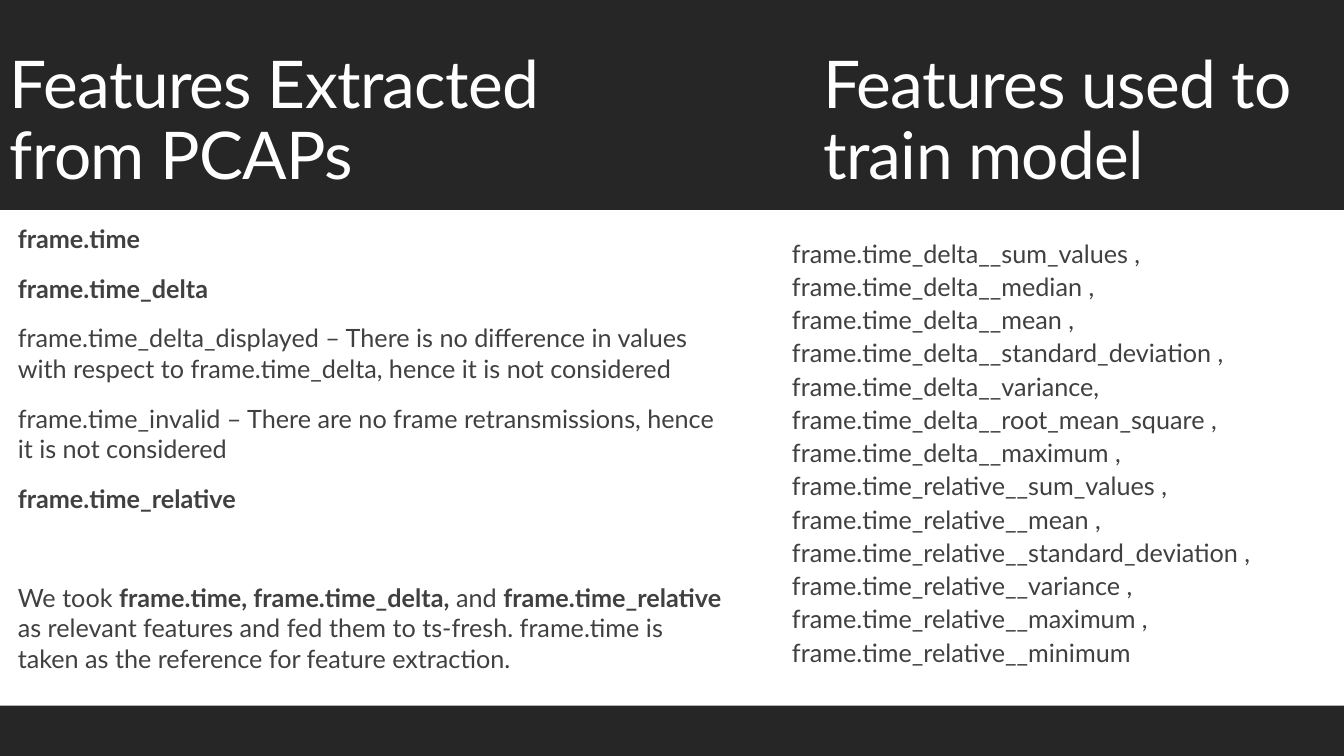
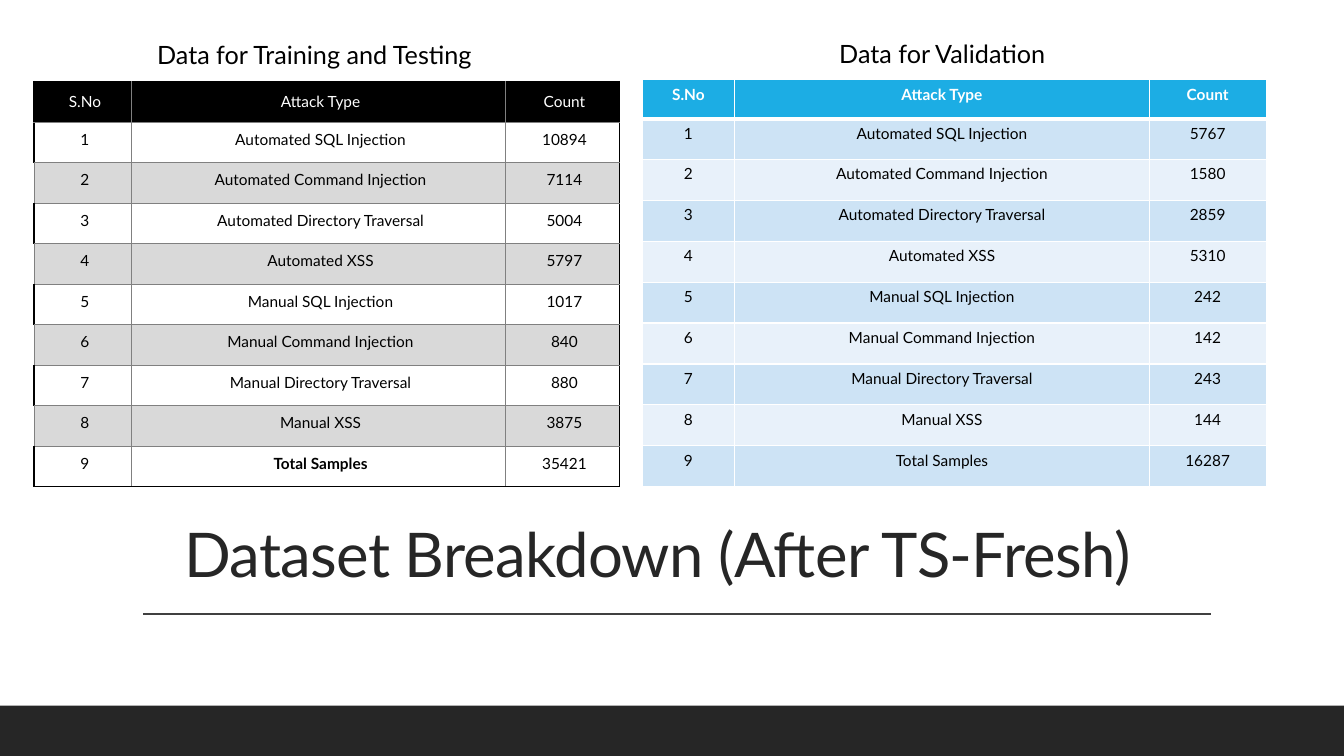
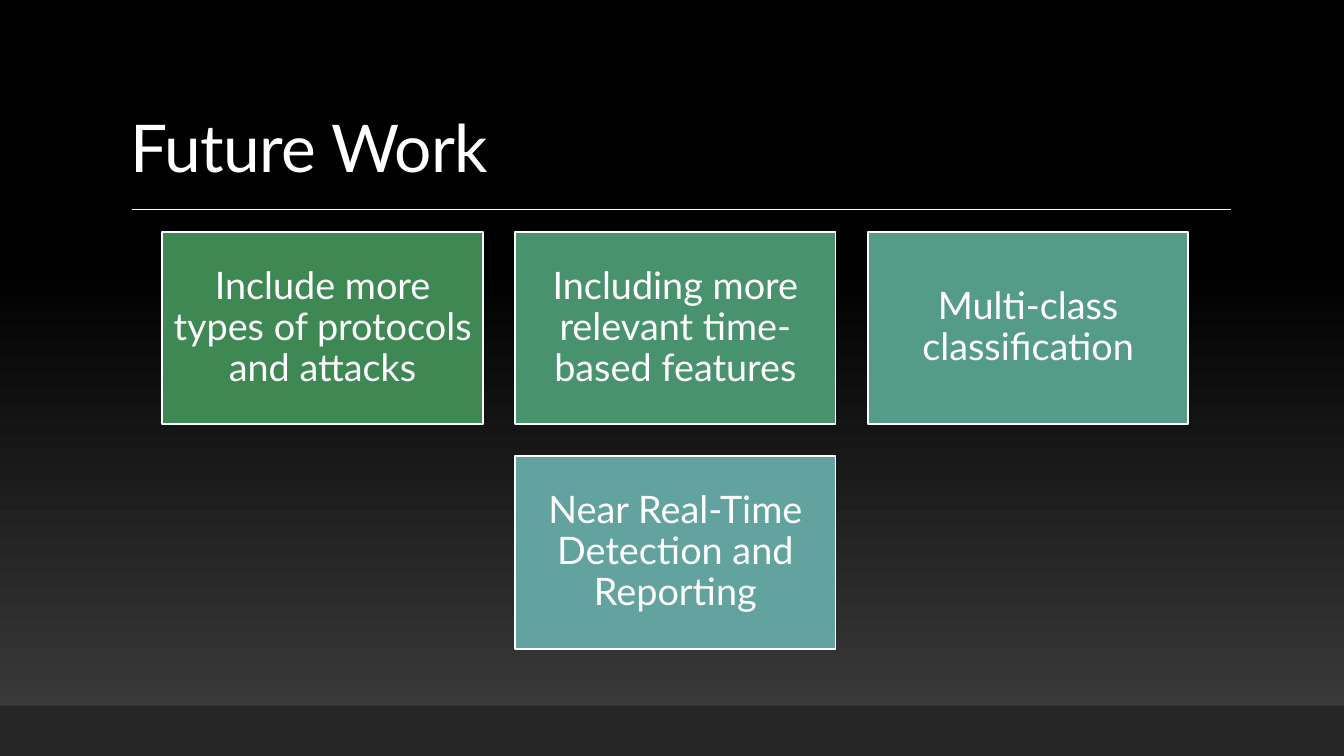
"""Build three slides on traffic features, dataset breakdown and future work."""
from lxml import etree
from pptx import Presentation
from pptx.dml.color import RGBColor
from pptx.enum import shapes, text
from pptx.oxml import ns
from pptx.util import Cm, Pt

FONT = "Lato"
WHITE = RGBColor(0xFF, 0xFF, 0xFF)
BLACK = RGBColor(0, 0, 0)
DARK = RGBColor(0x26, 0x26, 0x26)
INK = RGBColor(0x40, 0x40, 0x40)
SLATE = RGBColor(0x3F, 0x3F, 0x3F)
GREY = RGBColor(0x80, 0x80, 0x80)
PALE = RGBColor(0xD9, 0xD9, 0xD9)
BLUE = RGBColor(0x1C, 0xAD, 0xE4)
SKY = RGBColor(0xCD, 0xE3, 0xF5)
ICE = RGBColor(0xE8, 0xF1, 0xFA)
GREENS = [RGBColor(0x3E, 0x88, 0x53), RGBColor(0x49, 0x92, 0x6E),
          RGBColor(0x54, 0x9C, 0x88), RGBColor(0x62, 0xA3, 0x9F)]
LEFT, MID = text.PP_ALIGN.LEFT, text.PP_ALIGN.CENTER
TOP, CENTER, LOW = (text.MSO_ANCHOR.TOP, text.MSO_ANCHOR.MIDDLE,
                    text.MSO_ANCHOR.BOTTOM)
WIDE, HIGH = 33.87, 19.05
PAD = (0.25, 0.13, 0.25, 0.13)
FLUSH = (0, 0.13, 0, 0.13)

FIELDS = [
    "*frame.time*",
    "*frame.time_delta*",
    "frame.time_delta_displayed – There is no difference in values with "
    "respect to frame.time_delta, hence it is not considered",
    "frame.time_invalid – There are no frame retransmissions, hence it is "
    "not considered",
    "*frame.time_relative*",
    "We took *frame.time, frame.time_delta,* and *frame.time_relative* as "
    "relevant features and fed them to ts-fresh. frame.time is taken as the "
    "reference for feature extraction.",
]
USED = [
    "frame.time_delta__sum_values ,",
    "frame.time_delta__median ,",
    "frame.time_delta__mean ,",
    "frame.time_delta__standard_deviation ,",
    "frame.time_delta__variance,",
    "frame.time_delta__root_mean_square ,",
    "frame.time_delta__maximum ,",
    "frame.time_relative__sum_values ,",
    "frame.time_relative__mean ,",
    "frame.time_relative__standard_deviation ,",
    "frame.time_relative__variance ,",
    "frame.time_relative__maximum ,",
    "frame.time_relative__minimum",
]
HEAD = ("S.No", "Attack Type", "Count")
KINDS = [f"{mode} {kind}" for mode in ("Automated", "Manual")
         for kind in ("SQL Injection", "Command Injection",
                      "Directory Traversal", "XSS")] + ["Total Samples"]
TRAIN = [10894, 7114, 5004, 5797, 1017, 840, 880, 3875, 35421]
VALID = [5767, 1580, 2859, 5310, 242, 142, 243, 144, 16287]
PLANS = [
    "Include more types of protocols and attacks",
    "Including more relevant time-based features",
    "Multi-class classification",
    "Near Real-Time Detection and Reporting",
]


def write(frame, paras, size=18, color=INK, bold=False, align=LEFT, line=1.0,
          before=0, after=0, indent=0, track=0, anchor=TOP, pad=PAD):
    """Fill a text frame; asterisks switch bold on and off."""
    frame.word_wrap = True
    frame.auto_size = text.MSO_AUTO_SIZE.NONE
    frame.vertical_anchor = anchor
    (frame.margin_left, frame.margin_top,
     frame.margin_right, frame.margin_bottom) = map(Cm, pad)
    for n, words in enumerate(paras):
        para = frame.add_paragraph() if n else frame.paragraphs[0]
        para.alignment, para.line_spacing = align, line
        para.space_before, para.space_after = Pt(before), Pt(after)
        props = para._p.get_or_add_pPr()
        props.set("marL", str(Cm(indent)))
        props.set("indent", "0")
        etree.SubElement(props, ns.qn("a:buNone"))
        for k, part in enumerate(words.split("*")):
            if part:
                run = para.add_run()
                run.text = part
                font = run.font
                font.name, font.size = FONT, Pt(size)
                font.bold = bold or k % 2 == 1
                font.color.rgb = color
                if track:
                    run._r.get_or_add_rPr().set("spc", str(track))


def place(shape, box):
    """Move a shape to a box in centimetres."""
    shape.left, shape.top, shape.width, shape.height = map(Cm, box)
    return shape.text_frame


def label(slide, words, box, **look):
    """Add a text box."""
    write(slide.shapes.add_textbox(*map(Cm, box)).text_frame, [words], **look)


def block(slide, box, fill):
    """Add a plain filled rectangle."""
    rect = slide.shapes.add_shape(shapes.MSO_SHAPE.RECTANGLE, *map(Cm, box))
    rect.shadow.inherit = False
    rect.fill.solid()
    rect.fill.fore_color.rgb = fill
    rect.line.fill.background()
    return rect


def band(slide, top, tall):
    """Add a full-width dark band behind everything else."""
    rect = block(slide, (0, top, WIDE, tall), DARK)
    slide.shapes._spTree.insert(2, rect._element)


def heading(**look):
    """Give the title style shared by all slides."""
    return {"size": 47, "color": WHITE, "line": 0.9, "track": -50,
            "anchor": LOW, **look}


def start(deck, layout, title, box, **look):
    """Add a slide with its title and footer band."""
    slide = deck.slides.add_slide(deck.slide_layouts[layout])
    write(place(slide.shapes.title, box), [title], **heading(**look))
    band(slide, 17.78, 1.27)
    return slide


def rule(slide, left, right, top, color):
    """Add a thin horizontal line."""
    line = slide.shapes.add_connector(
        shapes.MSO_CONNECTOR.STRAIGHT, Cm(left), Cm(top), Cm(right), Cm(top))
    line.line.color.rgb, line.line.width = color, Pt(1)
    etree.SubElement(line._element.spPr, ns.qn("a:effectLst"))


def edge(cell, side, color, width):
    """Draw one border of a cell."""
    line = etree.SubElement(cell._tc.get_or_add_tcPr(), ns.qn("a:ln" + side),
                            w=str(Pt(width)))
    fill = etree.SubElement(line, ns.qn("a:solidFill"))
    etree.SubElement(fill, ns.qn("a:srgbClr"), val=str(color))


def ledger(row, col, last):
    """Give fill, borders and text format for the training table."""
    thin, thick = (GREY, 0.5), (BLACK, 1.5)
    sides = {"L": thick if col == 0 and (row == 0 or row % 2) else thin,
             "R": thick if col == 2 else thin,
             "T": thick if row == 0 else thin,
             "B": thick if row == last else thin}
    fill = BLACK if row == 0 else WHITE if row % 2 else PALE
    return fill, sides, {"pad": (0.25, 0.2, 0.15, 0.2),
                         "anchor": TOP if row else CENTER,
                         "bold": row == last and col == 1}


def sheet(row, col, last):
    """Give fill, borders and text format for the validation table."""
    sides = {side: (WHITE, 1) for side in "LRTB"}
    if row == 0:
        sides["B"] = (WHITE, 3)
    fill = BLUE if row == 0 else SKY if row % 2 else ICE
    return fill, sides, {"bold": row == 0}


def grid(slide, counts, left, top, cols, first, tall, style):
    """Add a table of attack counts."""
    rows = [HEAD] + [(n, kind, count) for n, (kind, count)
                     in enumerate(zip(KINDS, counts), 1)]
    last = len(rows) - 1
    table = slide.shapes.add_table(
        len(rows), len(cols), Cm(left), Cm(top), Cm(sum(cols)),
        Cm(first + last * tall)).table
    table.first_row = table.horz_banding = False
    for col, width in enumerate(cols):
        table.columns[col].width = Cm(width)
    for r, row in enumerate(rows):
        table.rows[r].height = Cm(tall if r else first)
        for c, value in enumerate(row):
            cell = table.cell(r, c)
            fill, sides, look = style(r, c, last)
            for side, (color, width) in sides.items():
                edge(cell, side, color, width)
            cell.fill.solid()
            cell.fill.fore_color.rgb = fill
            anchor, pad = look.pop("anchor", TOP), look.pop("pad", PAD)
            write(cell.text_frame, [str(value)], size=11, align=MID,
                  color=BLACK if r else WHITE, **look)
            cell.vertical_anchor = anchor
            (cell.margin_left, cell.margin_top,
             cell.margin_right, cell.margin_bottom) = map(Cm, pad)


def features(deck):
    """Build the feature lists."""
    slide = start(deck, 1, "Features Extracted from PCAPs",
                  (0, 1.07, 17.2, 4.04), anchor=CENTER)
    band(slide, 0, 5.29)
    label(slide, "Features used to train model", (20.5, 1.07, 13.03, 4.04),
          **heading(anchor=CENTER))
    body = place(slide.placeholders[1], (0.2, 5.49, 18.08, 11.46))
    look = {"before": 12, "after": 2, "indent": 0.25, "pad": FLUSH}
    write(body, FIELDS, **look)
    body.paragraphs[-1].space_before = Pt(47.5)
    label(slide, " ".join(USED), (19.71, 5.79, 12.85, 11.46), line=1.1, **look)


def dataset(deck):
    """Build the two count tables."""
    slide = start(deck, 5, "Dataset Breakdown (After TS-Fresh)",
                  (3.3, 12.14, 27.28, 2.87), size=44, color=DARK, indent=1.1)
    rule(slide, 3.61, 30.51, 15.47, INK)
    grid(slide, TRAIN, 0.86, 2.06, (2.46, 9.42, 2.87), 1.02, 1.02, ledger)
    grid(slide, VALID, 16.18, 2.01, (2.34, 10.44, 2.95), 0.98, 1.03, sheet)
    label(slide, "Data for Training and Testing", (3.71, 0.86, 8.86, 1.02),
          color=BLACK)
    label(slide, "Data for Validation", (20.9, 0.84, 9.07, 1.02), color=BLACK)


def future(deck):
    """Build the cards of planned work."""
    slide = start(deck, 5, "Future Work", (3.05, 0.79, 27.94, 4.04))
    fill = slide.background.fill
    fill.gradient()
    fill.gradient_angle = 90
    for stop, color, at in zip(fill.gradient_stops, (SLATE, BLACK), (0, 0.65)):
        stop.color.rgb, stop.position = color, at
    rule(slide, 3.33, 31.01, 5.28, WHITE)
    wide, tall, gap, span = 8.08, 4.85, 0.81, 3
    for n, (plan, color) in enumerate(zip(PLANS, GREENS)):
        row, col = divmod(n, span)
        count = min(span, len(PLANS) - row * span)
        left = 4.09 + (col + (span - count) / 2) * (wide + gap)
        card = block(slide, (left, 5.84 + row * (tall + gap), wide, tall),
                     color)
        card.line.color.rgb, card.line.width = WHITE, Pt(1.25)
        write(card.text_frame, [plan], size=27, color=WHITE, align=MID,
              line=0.9, anchor=CENTER, pad=(0.28,) * 4)


def main():
    """Build and save the deck."""
    deck = Presentation()
    deck.slide_width, deck.slide_height = Cm(WIDE), Cm(HIGH)
    for build in (features, dataset, future):
        build(deck)
    deck.save("out.pptx")


if __name__ == "__main__":
    main()
